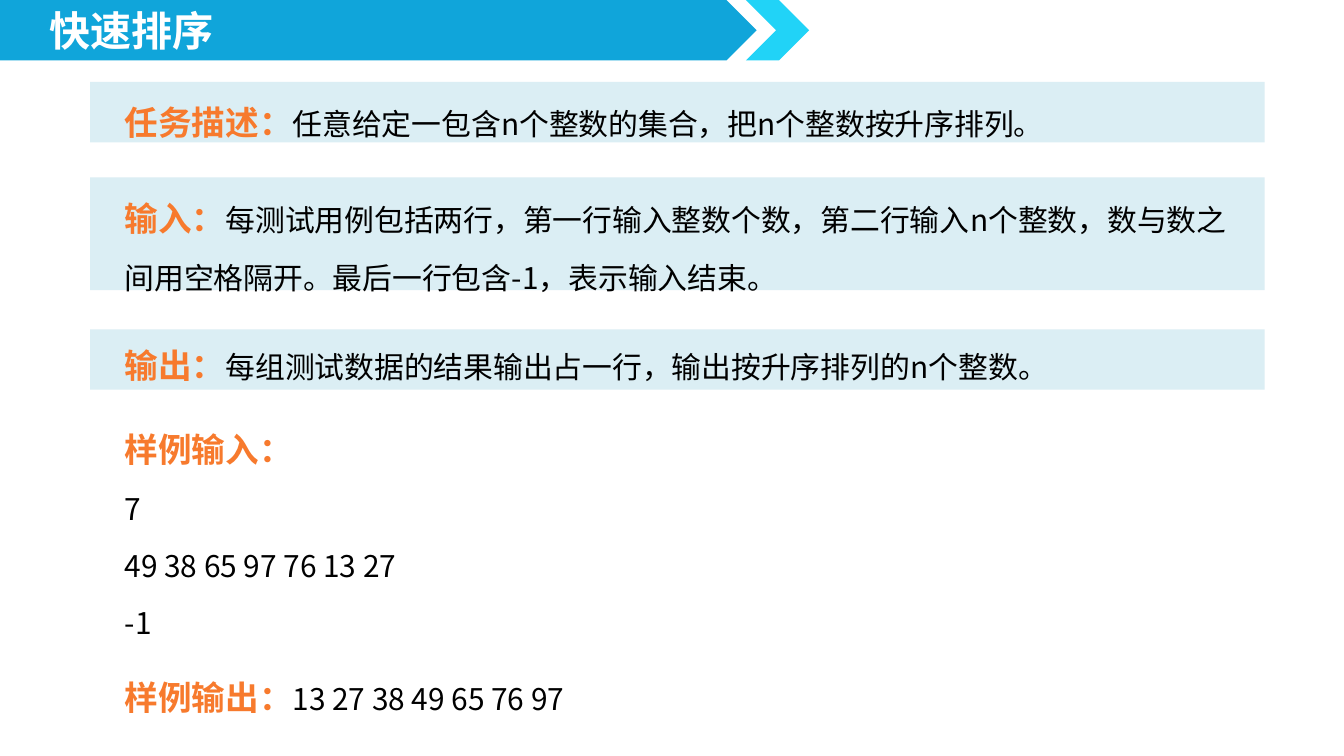
from lxml.etree import SubElement
from pptx import Presentation
from pptx.dml.color import RGBColor
from pptx.enum.shapes import MSO_SHAPE
from pptx.enum.text import MSO_AUTO_SIZE
from pptx.oxml.ns import qn
from pptx.util import Inches, Pt

THEME = {
    "font": "Noto Sans CJK SC",
    "banner": "10A5DA", "chevron": "21D3F7", "panel": "DBEEF4",
    "title": "FFFFFF", "label": "F77A2D", "body": "000000",
    "title_size": 22, "label_size": 18, "body_size": 16,
}

# Content: label, text on the same line, lines below, text top and height,
# panel top and height (None where there is no panel)
TITLE = "快速排序"
SECTIONS = [
    ("任务描述：", "任意给定一包含n个整数的集合，把n个整数按升序排列。", [],
     (0.53, 0.52), (0.61, 0.45)),
    ("输入：", "每测试用例包括两行，第一行输入整数个数，第二行输入n个整数，"
     "数与数之间用空格隔开。最后一行包含-1，表示输入结束。", [],
     (1.24, 0.96), (1.32, 0.84)),
    ("输出：", "每组测试数据的结果输出占一行，输出按升序排列的n个整数。", [],
     (2.34, 0.52), (2.45, 0.45)),
    ("样例输入：", "", ["7", "49 38 65 97 76 13 27", "-1"],
     (2.96, 1.82), None),
    ("样例输出：", "13 27 38 49 65 76 97", [],
     (4.81, 0.52), None),
]
BANNER_H = 0.45
PANEL_X, PANEL_W = 0.67, 8.74
TEXT_X, TEXT_W = 0.83, 8.5

# Widescreen 16:9 page
prs = Presentation()
prs.slide_width = Inches(10)
prs.slide_height = Inches(10 * 9 / 16)
s = prs.slides.add_slide(prs.slide_layouts[6])


def add_block(kind, x, y, w, h, color):
    sp = s.shapes.add_shape(kind, Inches(x), Inches(y), Inches(w), Inches(h))
    sp.shadow.inherit = False
    sp.fill.solid()
    sp.fill.fore_color.rgb = RGBColor.from_string(THEME[color])
    sp.line.fill.background()


def add_text(paragraphs, x, y, w, h, *, spacing=1.6, wrap=True):
    """Each paragraph is a list of (text, style) runs."""
    tf = s.shapes.add_textbox(Inches(x), Inches(y), Inches(w), Inches(h)).text_frame
    tf.word_wrap = wrap
    tf.auto_size = MSO_AUTO_SIZE.SHAPE_TO_FIT_TEXT
    for i, runs in enumerate(paragraphs):
        p = tf.add_paragraph() if i else tf.paragraphs[0]
        p.line_spacing = spacing
        for text, style in runs:
            r = p.add_run()
            r.text = text
            r.font.name = THEME["font"]
            r.font.size = Pt(THEME[style + "_size"])
            r.font.bold = style != "body"
            r.font.color.rgb = RGBColor.from_string(THEME[style])
            SubElement(r.font._element, qn("a:ea"), typeface=THEME["font"])


# Title banner
add_block(MSO_SHAPE.PENTAGON, 0, 0, 5.63, BANNER_H, "banner")
add_block(MSO_SHAPE.CHEVRON, 5.55, 0, 0.47, BANNER_H, "chevron")
add_text([[(TITLE, "title")]], 0.27, 0.06, 1.44, 0.4, spacing=0.8, wrap=False)

# Sections, each with its optional panel behind the text
for label, text, lines, (top, height), panel in SECTIONS:
    if panel:
        add_block(MSO_SHAPE.RECTANGLE, PANEL_X, panel[0], PANEL_W, panel[1], "panel")
    first = [(label, "label")] + ([(text, "body")] if text else [])
    add_text([first] + [[(line, "body")] for line in lines],
             TEXT_X, top, TEXT_W, height)

prs.save("out.pptx")
